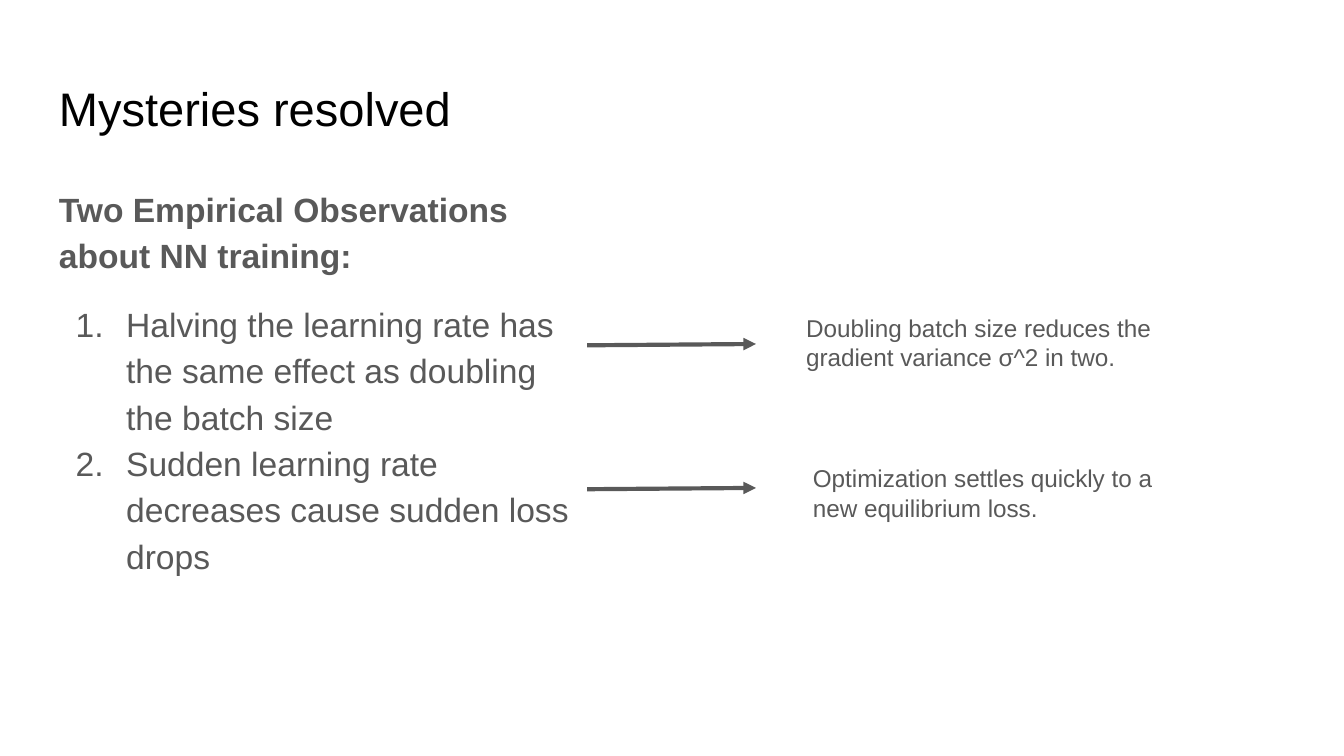
from lxml.etree import SubElement
from pptx import Presentation
from pptx.dml.color import RGBColor
from pptx.enum.shapes import MSO_CONNECTOR as Connector
from pptx.oxml.ns import qn
from pptx.util import Pt

FONT = "Arial"
BLACK = "000000"
GREY = "595959"
INSET = 7.2


def color(hex_value):
    """Turn a hex string into a colour."""
    return RGBColor.from_string(hex_value)


def add_frame(slide, left, top, width, height):
    """Add a wrapping text box and return its text frame."""
    frame = slide.shapes.add_textbox(Pt(left), Pt(top), Pt(width), Pt(height)).text_frame
    frame.word_wrap = True
    frame.margin_left = frame.margin_right = Pt(INSET)
    frame.margin_top = frame.margin_bottom = Pt(INSET)
    return frame


def write(paragraph, wording, size, hex_value, bold=False):
    """Add one styled run to a paragraph."""
    run = paragraph.add_run()
    run.text = wording
    run.font.name = FONT
    run.font.size = Pt(size)
    run.font.bold = bold
    run.font.color.rgb = color(hex_value)


def number(paragraph, hex_value):
    """Give a paragraph a hanging automatic number."""
    properties = paragraph._p.get_or_add_pPr()
    properties.set("marL", str(Pt(36)))
    properties.set("indent", str(-Pt(27)))
    tint = SubElement(properties, qn("a:buClr"))
    SubElement(tint, qn("a:srgbClr"), val=hex_value)
    SubElement(properties, qn("a:buFont"), typeface=FONT)
    SubElement(properties, qn("a:buAutoNum"), type="arabicPeriod")


def add_observations(slide, heading, observations):
    """Add the heading and the numbered observations below it."""
    frame = add_frame(slide, 24.5, 90.7, 294.5, 252.7)
    intro = frame.paragraphs[0]
    intro.line_spacing = 1.15
    write(intro, heading, 18, GREY, bold=True)
    for position, observation in enumerate(observations):
        item = frame.add_paragraph()
        item.line_spacing = 1.15
        item.space_before = Pt(0 if position else 12)
        number(item, GREY)
        write(item, observation, 18, GREY)


def add_arrow(slide, start_y):
    """Add a slightly rising arrow from an observation to its explanation."""
    arrow = slide.shapes.add_connector(
        Connector.STRAIGHT, Pt(314.6), Pt(start_y), Pt(405), Pt(start_y - 0.7))
    arrow.line.color.rgb = color(GREY)
    arrow.line.width = Pt(2.25)
    SubElement(arrow.line._get_or_add_ln(), qn("a:tailEnd"), type="triangle")
    SubElement(arrow._element.spPr, qn("a:effectLst"))


def main():
    """Build the slide and save it."""
    deck = Presentation()
    deck.slide_width, deck.slide_height = Pt(720), Pt(405)
    slide = deck.slides.add_slide(deck.slide_layouts[6])

    title = add_frame(slide, 24.5, 35.3, 671, 45.4)
    write(title.paragraphs[0], "Mysteries resolved", 25.2, BLACK)

    add_observations(slide, "Two Empirical Observations about NN training:", [
        "Halving the learning rate has the same effect as doubling the batch size",
        "Sudden learning rate decreases cause sudden loss drops",
    ])

    explanations = [
        (185, (424.8, 160.6, 229, 56.9),
         "Doubling batch size reduces the gradient variance σ^2 in two."),
        (262.1, (428.4, 241.2, 202.3, 48.2),
         "Optimization settles quickly to a new equilibrium loss."),
    ]
    for arrow_y, place, explanation in explanations:
        add_arrow(slide, arrow_y)
        write(add_frame(slide, *place).paragraphs[0], explanation, 13, GREY)

    deck.save("out.pptx")


if __name__ == "__main__":
    main()
